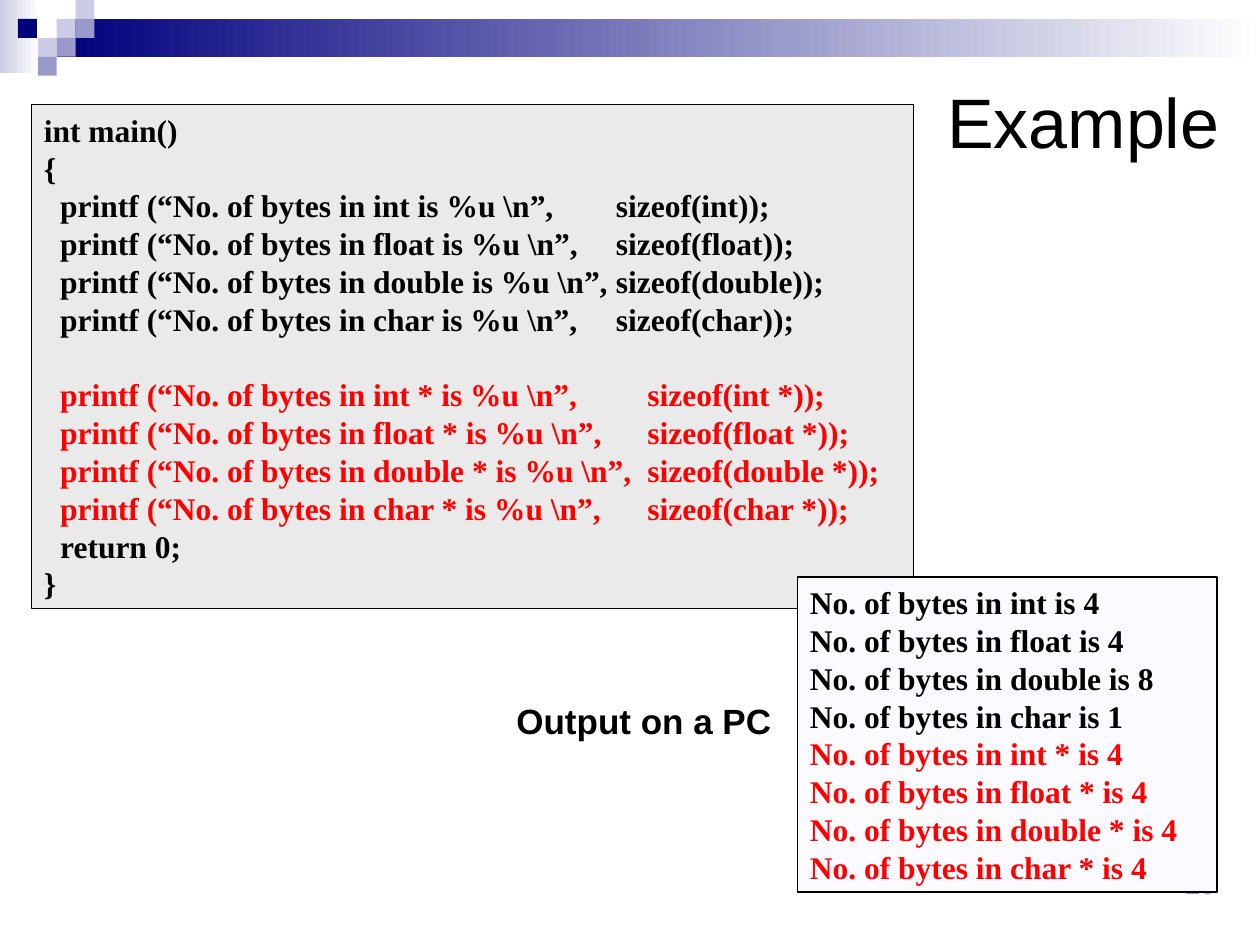
"""Build the slide on the sizes of C data types and their pointers."""
from dataclasses import dataclass

from pptx import Presentation
from pptx.dml.color import RGBColor
from pptx.enum.shapes import MSO_SHAPE as Preset
from pptx.enum.text import MSO_ANCHOR as Anchor, PP_ALIGN as Align
from pptx.util import Inches, Pt

COLORS = {
    "navy": "00007D", "lavender": "9999CC", "pale": "CCCCE6", "white": "FFFFFF",
    "code": "EAEAEA", "output": "FBFBFF", "black": "000000", "red": "FF0000",
}
TYPES = {"int": 4, "float": 4, "double": 8, "char": 1}
POINTER_SIZE = 4
SQUARE = 0.15
LINE_HEIGHT = 21.6


@dataclass
class Area:
    left: float
    top: float
    width: float
    height: float

    def lengths(self) -> list:
        return [Inches(n) for n in (self.left, self.top, self.width, self.height)]


@dataclass
class Line:
    text: str
    color: str = "black"
    indent: float = 0
    tab: float = 0
    before: float = 0


@dataclass
class Label:
    area: Area
    text: str
    size: int
    color: str = "black"
    bold: bool = False
    align: Align = Align.LEFT
    anchor: Anchor = Anchor.TOP


def rgb(name: str) -> RGBColor:
    return RGBColor.from_string(COLORS[name])


def add_box(page, area: Area, *fills: str):
    box = page.shapes.add_shape(Preset.RECTANGLE, *area.lengths())
    box.shadow.inherit = False
    box.line.fill.background()
    if len(fills) == 1:
        box.fill.solid()
        box.fill.fore_color.rgb = rgb(fills[0])
    else:
        box.fill.gradient()
        box.fill.gradient_angle = 0
        for position, (stop, name) in enumerate(zip(box.fill.gradient_stops, fills)):
            stop.position = position
            stop.color.rgb = rgb(name)
    return box


def format_text(para, font: str, size: int, color: str, bold: bool) -> None:
    for span in para.runs:
        span.font.name = font
        span.font.size = Pt(size)
        span.font.bold = bold
        span.font.color.rgb = rgb(color)


def add_listing(page, area: Area, fill: str, lines: list[Line]) -> None:
    box = add_box(page, area, fill)
    box.line.color.rgb = rgb("black")
    box.line.width = Pt(1)
    frame = box.text_frame
    frame.word_wrap = True
    frame.margin_right = 0
    frame.vertical_anchor = Anchor.TOP
    frame.text = "\n".join(line.text for line in lines)
    for para, line in zip(frame.paragraphs, lines):
        para.alignment = Align.LEFT
        para.line_spacing = Pt(LINE_HEIGHT)
        para.space_before = Pt(line.before)
        format_text(para, "Times New Roman", 18, line.color, True)
        properties = para._p.get_or_add_pPr()
        properties.set("indent", str(Inches(line.indent)))
        if line.tab:
            properties.set("defTabSz", str(Inches(line.tab)))


def add_label(page, label: Label) -> None:
    frame = page.shapes.add_textbox(*label.area.lengths()).text_frame
    frame.word_wrap = True
    frame.vertical_anchor = label.anchor
    frame.text = label.text
    para = frame.paragraphs[0]
    para.alignment = label.align
    format_text(para, "Arial", label.size, label.color, label.bold)


def add_banner(page) -> None:
    add_box(page, Area(0, 0, 0.31, 0.58), "pale", "white")
    add_box(page, Area(0.45, 0.15, 9.55, 0.3), "navy", "white")
    squares = [
        (3, 1, "pale"), (4, 0, "pale"), (4, 1, "lavender"), (2, 2, "pale"),
        (0.95, 1, "navy"), (3, 2, "lavender"), (2, 3, "lavender"),
    ]
    for column, row, color in squares:
        add_box(page, Area(column * SQUARE, row * SQUARE, SQUARE, SQUARE), color)


def print_lines(suffix: str, color: str, tab: float, before: float = 0) -> list[Line]:
    lines = []
    for name in TYPES:
        kind = name + suffix
        text = rf"printf (“No. of bytes in {kind} is %u \n”," + f"\tsizeof({kind}));"
        lines.append(Line(text, color, 0.13, tab))
    lines[0].before = before
    return lines


def main() -> None:
    deck = Presentation()
    deck.slide_width, deck.slide_height = Inches(10), Inches(7.5)
    page = deck.slides.add_slide(deck.slide_layouts[6])
    add_banner(page)
    add_label(page, Label(Area(9.17, 6.83, 0.58, 0.5), "29", 16, "lavender",
                          align=Align.RIGHT))
    add_label(page, Label(Area(7.42, 0.42, 2.83, 1.08), "Example", 40,
                          anchor=Anchor.MIDDLE))
    code = [
        Line("int main()"),
        Line("{"),
        *print_lines("", "black", 4.54),
        *print_lines(" *", "red", 4.79, LINE_HEIGHT),
        Line("return 0;", indent=0.13),
        Line("}"),
    ]
    add_listing(page, Area(0.25, 0.83, 7, 4), "code", code)
    output = [Line(f"No. of bytes in {name} is {size}") for name, size in TYPES.items()]
    output += [Line(f"No. of bytes in {name} * is {POINTER_SIZE}", "red") for name in TYPES]
    add_listing(page, Area(6.33, 4.58, 3.33, 2.5), "output", output)
    add_label(page, Label(Area(4, 5.5, 2.33, 0.44), "Output on a PC", 20, bold=True))
    deck.save("out.pptx")


if __name__ == "__main__":
    main()
